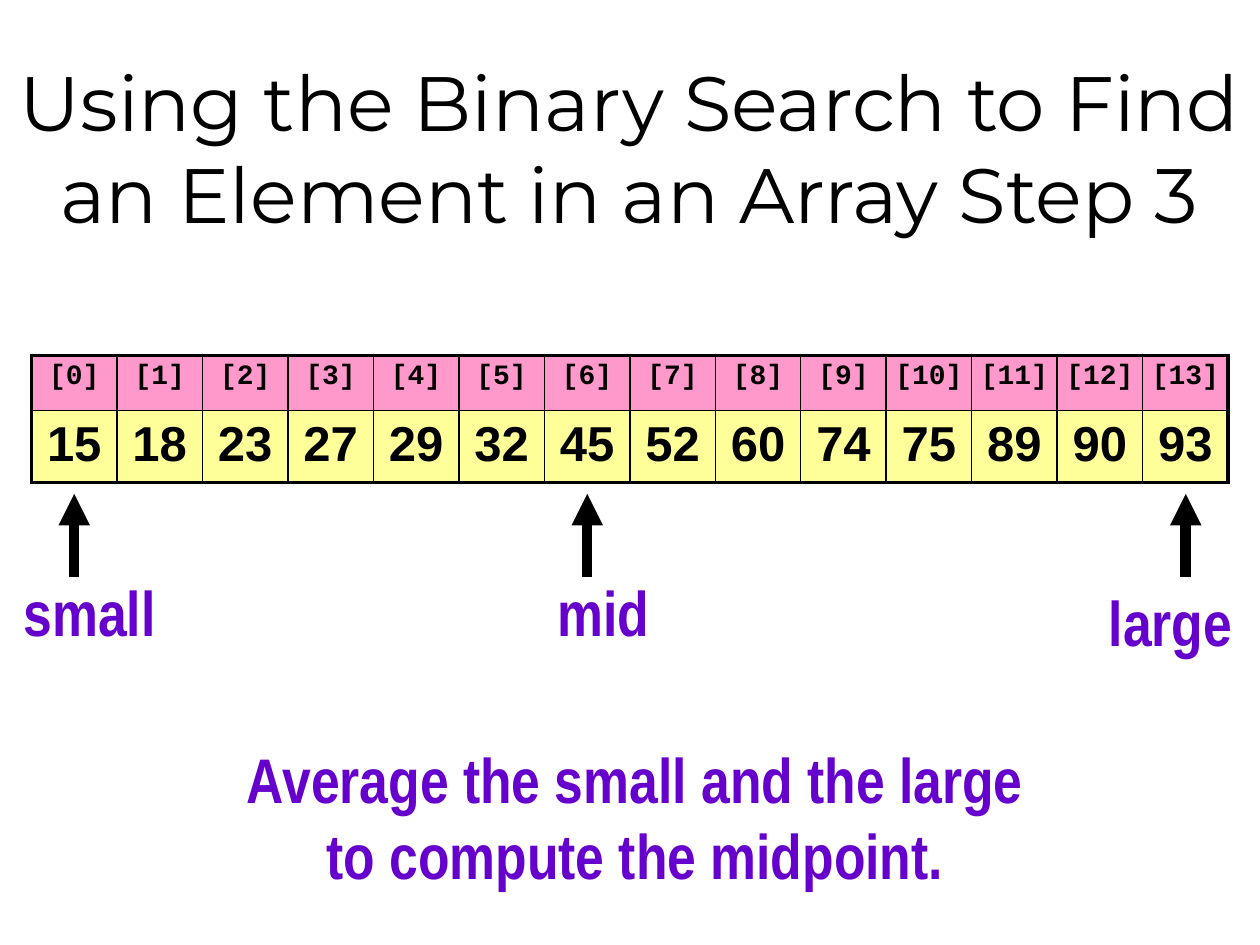
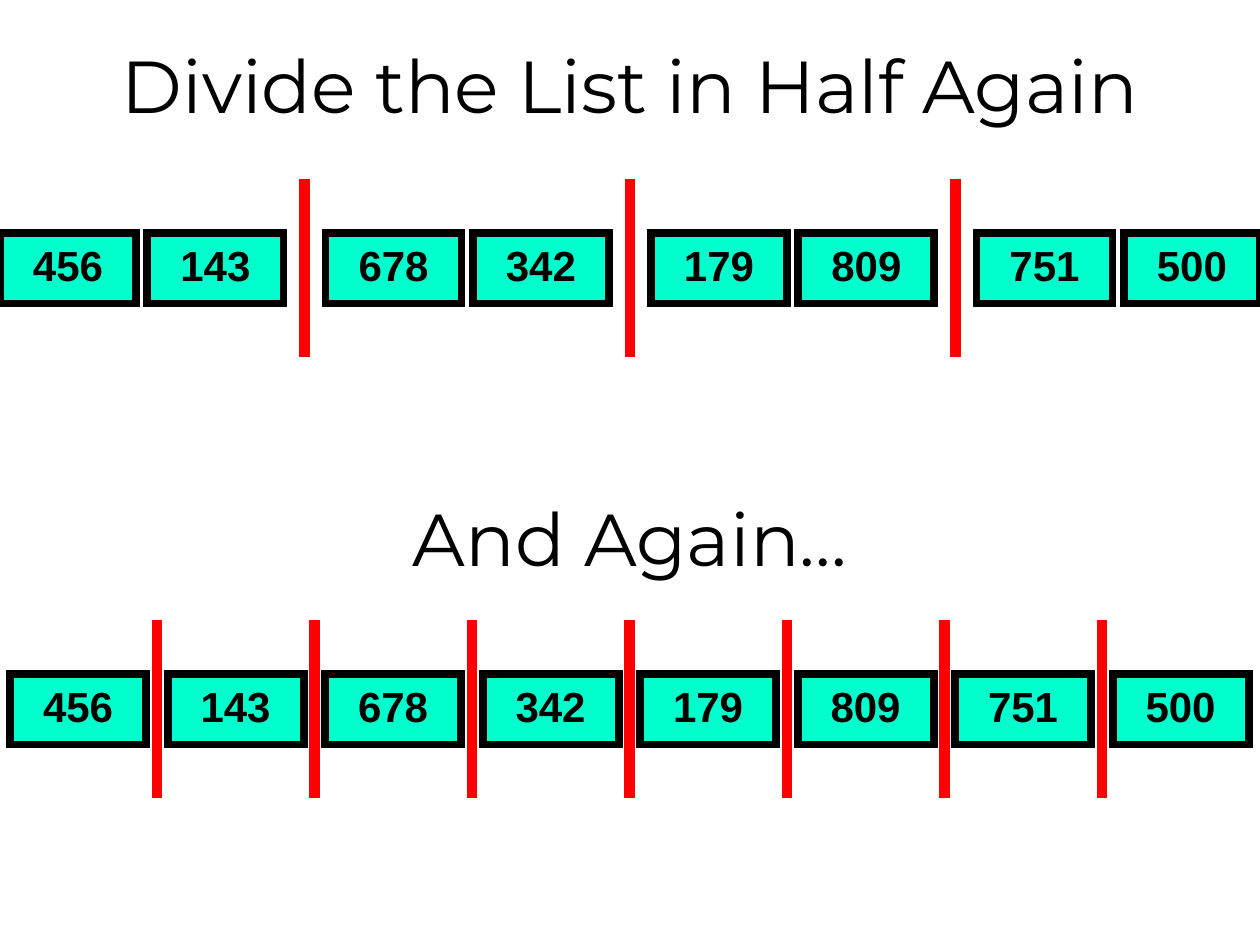
from dataclasses import dataclass

from lxml.etree import SubElement as Sub
from pptx import Presentation
from pptx.dml.color import RGBColor
from pptx.enum.shapes import MSO_CONNECTOR as Link, MSO_SHAPE as Shape
from pptx.enum.text import MSO_ANCHOR as Anchor, PP_ALIGN as Align
from pptx.oxml.ns import qn
from pptx.slide import Slide
from pptx.table import _Cell as Cell
from pptx.text.text import TextFrame as Frame
from pptx.util import Inches, Pt

# Shared look
HUES = {"ink": "000000", "index": "FF99CC", "value": "FFFF99",
        "label": "6600CC", "box": "00FFCC", "split": "FF0000"}
TITLE = "Montserrat"
BODY = "Arial"
CODE = "Courier New"
NARROW = "Arial Narrow"

# Array table: left, top and cell width
LEFT, TOP, CELL = 0.25, 2.82, 9.5 / 14
SORTED = [15, 18, 23, 27, 29, 32, 45, 52, 60, 74, 75, 89, 90, 93]

# Boxes of the list to divide
LIST = [456, 143, 678, 342, 179, 809, 751, 500]
WIDE, HIGH, STEP = 1.08, 0.56, 1.17


@dataclass
class Mark:
    name: str
    index: int
    left: float
    top: float


@dataclass
class Split:
    title: str
    head: float
    left: float
    top: float
    size: int
    pitch: float


MARKS = [Mark("small", 0, 0.17, 4.5),
         Mark("mid", 6, 4.25, 4.5),
         Mark("large", 13, 8.75, 4.58)]
SPLITS = [Split("Divide the List in Half Again", 0, 0, 1.85, 2, 31 / 12),
          Split("And Again…", 3.6, 0.08, 5.35, 1, 1.25)]


def hue(name: str) -> RGBColor:
    return RGBColor.from_string(HUES[name])


def write(frame: Frame, text: str, *, size: float, font: str = BODY,
          color: str = "ink", bold: bool = True, wrap: bool = True,
          side: float = 0.1, anchor: Anchor = Anchor.TOP) -> None:
    """Fill a frame with centred lines in one format."""
    frame.text = text
    frame.word_wrap = wrap
    frame.margin_left = frame.margin_right = Inches(side)
    frame.vertical_anchor = anchor
    for para in frame.paragraphs:
        para.alignment = Align.CENTER
        for run in para.runs:
            run.font.size = Pt(size)
            run.font.name = font
            run.font.bold = bold
            run.font.color.rgb = hue(color)


def label(slide: Slide, text: str, left: float, top: float,
          width: float, height: float, **style) -> None:
    area = slide.shapes.add_textbox(Inches(left), Inches(top),
                                    Inches(width), Inches(height))
    write(area.text_frame, text, **style)


def title(slide: Slide, text: str, top: float, height: float, size: float) -> None:
    label(slide, text, 0, top, 10, height, size=size, font=TITLE,
          bold=False, anchor=Anchor.MIDDLE)


def note(slide: Slide, text: str, left: float, top: float,
         width: float, height: float) -> None:
    label(slide, text, left, top, width, height, size=36, font=NARROW,
          color="label", wrap=False, side=0)


def rule(slide: Slide, x: float, start: float, end: float,
         color: str, arrow: bool = False) -> None:
    """Draw a thick upright line, with an arrowhead at its end if asked."""
    line = slide.shapes.add_connector(Link.STRAIGHT, Inches(x), Inches(start),
                                      Inches(x), Inches(end))
    line.line.width = Pt(6)
    line.line.color.rgb = hue(color)
    props = line.element.spPr
    if arrow:
        Sub(props.find(qn("a:ln")), qn("a:tailEnd"), type="triangle")
    Sub(props, qn("a:effectLst"))


def edge(cell: Cell, side: str, width: float) -> None:
    props = cell._tc.get_or_add_tcPr()
    line = Sub(props, qn(f"a:ln{side}"), w=str(Pt(width)))
    Sub(Sub(line, qn("a:solidFill")), qn("a:srgbClr"), val=HUES["ink"])


def array(slide: Slide) -> None:
    """Draw the indexes above the sorted values."""
    count = len(SORTED)
    grid = slide.shapes.add_table(2, count, Inches(LEFT), Inches(TOP),
                                  Inches(CELL * count), Inches(1.01)).table
    grid.first_row = grid.horz_banding = False
    for col in grid.columns:
        col.width = Inches(CELL)
    rows = [([f"[{i}]" for i in range(count)], 0.44, "index", 16, CODE),
            ([str(n) for n in SORTED], 0.57, "value", 28, BODY)]
    for r, (texts, height, fill, size, font) in enumerate(rows):
        grid.rows[r].height = Inches(height)
        for c, text in enumerate(texts):
            cell = grid.cell(r, c)
            outer = {"L": c == 0, "R": c == count - 1, "T": r == 0, "B": r == 1}
            for side, thick in outer.items():
                edge(cell, side, 2.25 if thick else 1)
            cell.fill.solid()
            cell.fill.fore_color.rgb = hue(fill)
            write(cell.text_frame, text, size=size, font=font)
            cell.margin_left = cell.margin_right = Inches(0.05)
            cell.margin_top = cell.margin_bottom = Inches(0.05)


def box(slide: Slide, text: str, left: float, top: float) -> None:
    shape = slide.shapes.add_shape(Shape.RECTANGLE, Inches(left), Inches(top),
                                   Inches(WIDE), Inches(HIGH))
    shape.shadow.inherit = False
    shape.fill.solid()
    shape.fill.fore_color.rgb = hue("box")
    shape.line.color.rgb = hue("ink")
    shape.line.width = Pt(4.5)
    # Square corners
    Sub(shape.element.spPr.find(qn("a:ln")), qn("a:miter"), lim="800000")
    write(shape.text_frame, text, size=24)


def divide(slide: Slide, split: Split) -> None:
    """Draw the groups of boxes, then a line in the middle of each gap."""
    title(slide, split.title, split.head, 1.33, 42)
    for i, number in enumerate(LIST):
        group, place = divmod(i, split.size)
        box(slide, str(number),
            split.left + group * split.pitch + place * STEP, split.top)
    span = (split.size - 1) * STEP + WIDE
    first = split.left + (span + split.pitch) / 2
    for i in range(len(LIST) // split.size - 1):
        rule(slide, first + i * split.pitch,
             split.top - 0.43, split.top + 0.98, "split")


def main() -> None:
    deck = Presentation()
    deck.slide_width, deck.slide_height = Inches(10), Inches(7.5)
    blank = deck.slide_layouts[6]

    # Binary search, step 3
    search = deck.slides.add_slide(blank)
    title(search, "Using the Binary Search to Find an Element in an Array Step 3",
          0, 2.33, 44)
    array(search)
    note(search, "Average the small and the large\nto compute the midpoint.",
         0.75, 5.83, 8.58, 1.42)
    for mark in MARKS:
        note(search, mark.name, mark.left, mark.top, 1.08, 0.82)
        rule(search, LEFT + CELL * (mark.index + 0.5), 4.58, 3.92, "ink", arrow=True)

    # List divided into halves
    halves = deck.slides.add_slide(blank)
    for split in SPLITS:
        divide(halves, split)

    deck.save("out.pptx")


if __name__ == "__main__":
    main()
